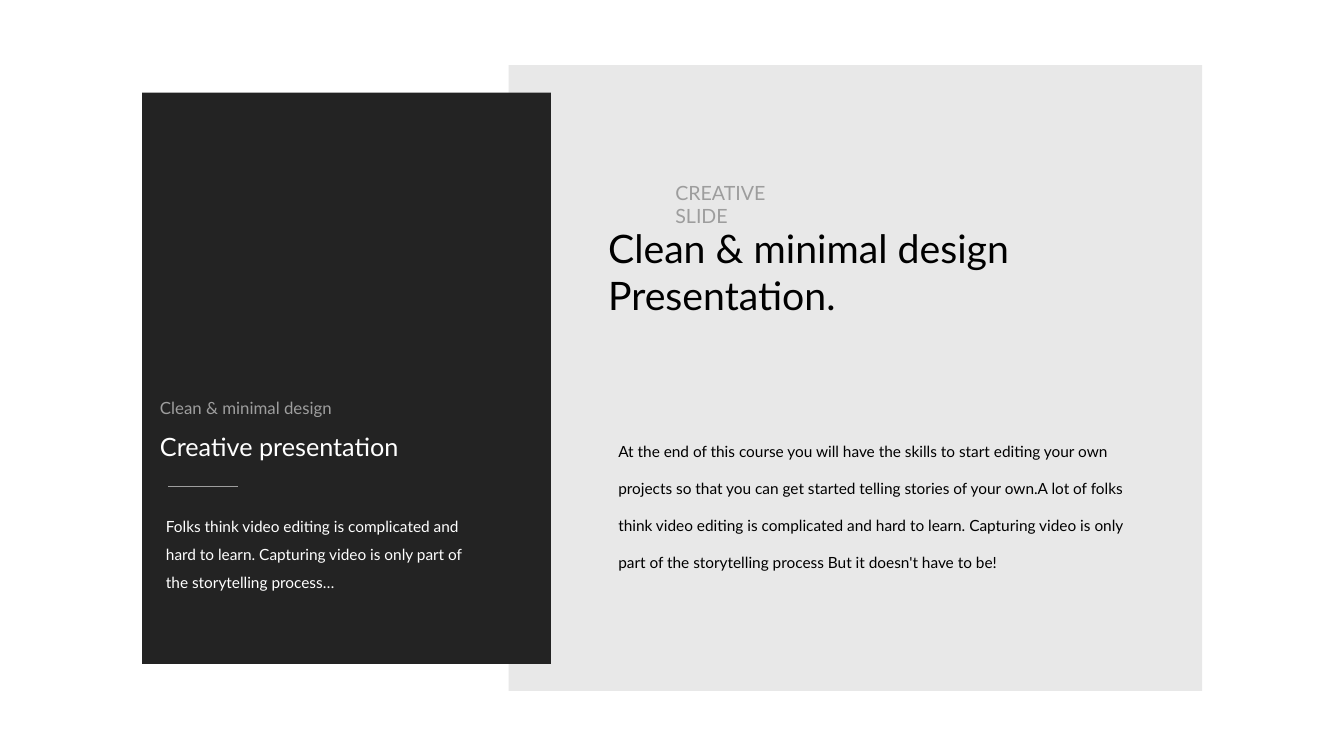
import pptx
import pptx.util
import pptx.dml.color
import pptx.enum.shapes
import pptx.enum.text
import pptx.oxml
import pptx.oxml.ns
from dataclasses import dataclass

Pt = pptx.util.Pt


@dataclass(frozen=True)
class Theme:
    font: str = "Lato"
    dark: str = "232323"
    pale: str = "E8E8E8"
    white: str = "FFFFFF"
    black: str = "000000"
    gray: str = "9E9E9E"
    label: str = "9D9D9D"
    body: int = 22
    sub: int = 24
    tag: int = 28
    title: int = 36
    head: int = 56
    inset: float = 4.5


theme = Theme()


def tint(color):
    return pptx.dml.color.RGBColor.from_string(color)


def add_text(slide, text, *, box, size, color, space=1.0):
    shape = slide.shapes.add_textbox(*map(Pt, box))
    frame = shape.text_frame
    frame.word_wrap = True
    frame.vertical_anchor = pptx.enum.text.MSO_ANCHOR.MIDDLE
    frame.margin_left = frame.margin_right = Pt(theme.inset)
    frame.margin_top = frame.margin_bottom = Pt(theme.inset)
    frame.text = text
    for para in frame.paragraphs:
        para.line_spacing = space
        para.font.name = theme.font
        para.font.size = Pt(size)
        para.font.color.rgb = tint(color)


def add_panel(slide, box, color):
    kind = pptx.enum.shapes.MSO_SHAPE.RECTANGLE
    shape = slide.shapes.add_shape(kind, *map(Pt, box))
    shape.shadow.inherit = False
    shape.fill.solid()
    shape.fill.fore_color.rgb = tint(color)
    shape.line.fill.background()


def add_rule(slide, left, top, width):
    kind = pptx.enum.shapes.MSO_CONNECTOR.STRAIGHT
    line = slide.shapes.add_connector(
        kind, Pt(left), Pt(top), Pt(left + width), Pt(top))
    line.line.color.rgb = tint(theme.gray)
    line.line.width = Pt(1)
    props = line._element.spPr
    props.append(pptx.oxml.parse_xml(
        "<a:effectLst %s/>" % pptx.oxml.ns.nsdecls("a")))


def add_main(slide, box):
    left, top = box[:2]
    add_panel(slide, box, theme.pale)
    add_text(
        slide,
        "At the end of this course you will have the skills to start editing "
        "your own projects so that you can get started telling stories of "
        "your own.A lot of folks think video editing is complicated and hard "
        "to learn. Capturing video is only part of the storytelling process "
        "But it doesn't have to be!",
        box=(left + 152, top + 508, 766, 219),
        size=theme.body, color=theme.black, space=2.0)
    add_text(slide, "CREATIVE SLIDE",
             box=(left + 233.5, top + 178, 214, 42),
             size=theme.tag, color=theme.label)
    add_text(slide, "Clean & minimal design\nPresentation.",
             box=(left + 137.5, top + 223, 631, 142.5),
             size=theme.head, color=theme.black)


def add_card(slide, box):
    left, top = box[:2]
    add_panel(slide, box, theme.dark)
    add_text(
        slide,
        "Folks think video editing is complicated and hard to learn. "
        "Capturing video is only part of the storytelling process…",
        box=(left + 29.5, top + 589.5, 443.5, 127),
        size=theme.body, color=theme.white, space=1.5)
    add_text(slide, "Clean & minimal design",
             box=(left + 21, top + 431.5, 275, 36.5),
             size=theme.sub, color=theme.gray)
    add_text(slide, "Creative presentation",
             box=(left + 21, top + 479.5, 373, 51),
             size=theme.title, color=theme.white)
    add_rule(slide, left + 37.5, top + 563, 100)


def main():
    deck = pptx.Presentation()
    deck.slide_width = Pt(1919.52)
    deck.slide_height = Pt(1080)
    slide = deck.slides.add_slide(deck.slide_layouts[6])
    add_main(slide, (726.5, 93, 990.5, 894))
    add_card(slide, (203, 132.5, 584, 816))
    deck.save("out.pptx")


if __name__ == "__main__":
    main()
